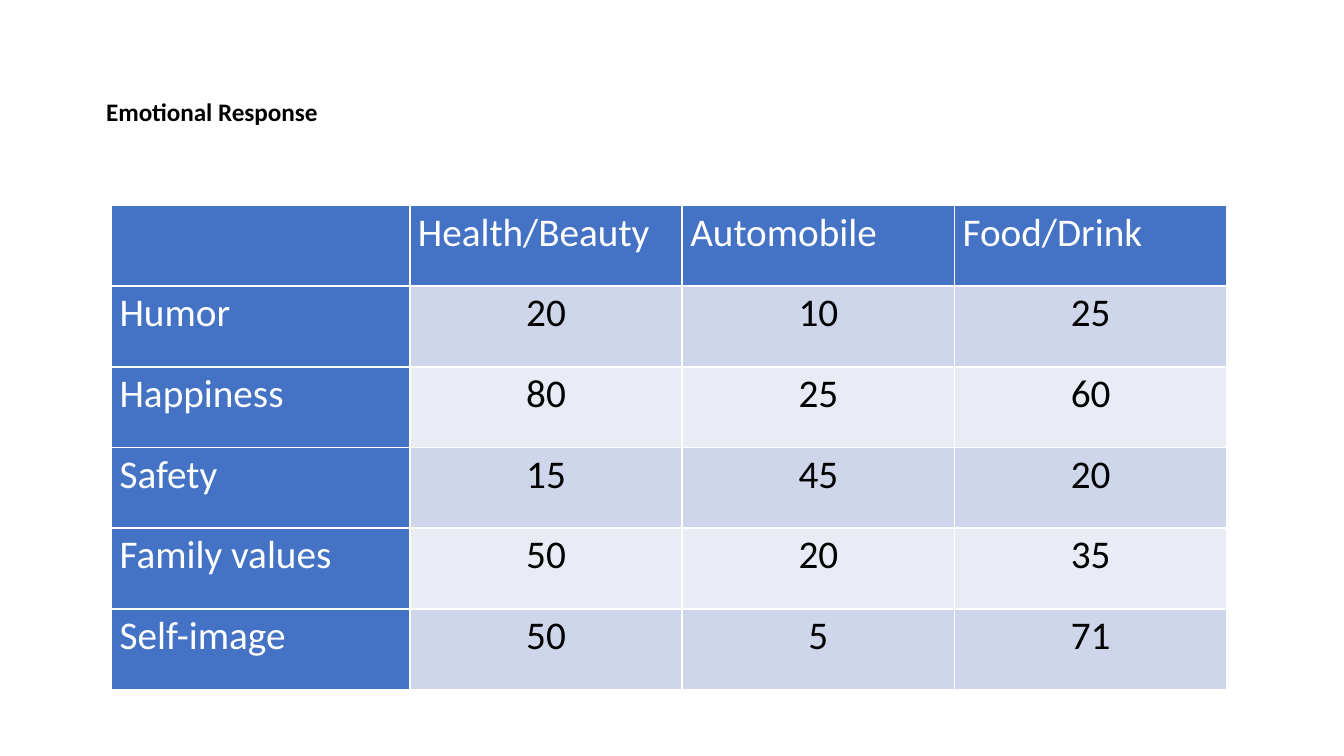
import lxml.etree
import pptx
import pptx.dml.color
import pptx.enum.text
import pptx.oxml.ns
import pptx.util

Inches = pptx.util.Inches
Pt = pptx.util.Pt
RGBColor = pptx.dml.color.RGBColor
PP_ALIGN = pptx.enum.text.PP_ALIGN

BLACK = RGBColor(0x00, 0x00, 0x00)
WHITE = RGBColor(0xFF, 0xFF, 0xFF)
BLUE = RGBColor(0x44, 0x72, 0xC4)
BANDS = [RGBColor(0xCF, 0xD5, 0xEA), RGBColor(0xE9, 0xEB, 0xF5)]

RESPONSES = [
    ["", "Health/Beauty", "Automobile", "Food/Drink"],
    ["Humor", "20", "10", "25"],
    ["Happiness", "80", "25", "60"],
    ["Safety", "15", "45", "20"],
    ["Family values", "50", "20", "35"],
    ["Self-image", "50", "5", "71"],
]
TABLE_WIDTH = 8.3
LABEL_WIDTH = 2.22
PRODUCT_WIDTH = (TABLE_WIDTH - LABEL_WIDTH) / 3
COLUMN_WIDTHS = [LABEL_WIDTH] + [PRODUCT_WIDTH] * 3
ROW_HEIGHT = 0.6


class SlideBuilder:
    font_name = "Calibri"

    def __init__(self, slide):
        self.slide = slide

    def style_text(self, paragraph, size, color, spacing, align=PP_ALIGN.LEFT, bold=False):
        paragraph.alignment = align
        paragraph.line_spacing = spacing
        for run in paragraph.runs:
            run.font.name = self.font_name
            run.font.size = Pt(size)
            run.font.bold = bold
            run.font.color.rgb = color

    def title(self, text, left, top, width, height):
        heading = self.slide.shapes.title
        heading.left, heading.top = Inches(left), Inches(top)
        heading.width, heading.height = Inches(width), Inches(height)
        heading.text_frame.text = text
        heading.text_frame.vertical_anchor = pptx.enum.text.MSO_ANCHOR.MIDDLE
        self.style_text(heading.text_frame.paragraphs[0], 13.5, BLACK, 0.9, bold=True)

    def borders(self, cell):
        """Draw white cell edges; they must come before the fill in the XML."""
        properties = cell._tc.get_or_add_tcPr()
        for position, edge in enumerate(["lnL", "lnR", "lnT", "lnB"]):
            line = lxml.etree.Element(pptx.oxml.ns.qn(f"a:{edge}"), w=str(Pt(1)))
            fill = lxml.etree.SubElement(line, pptx.oxml.ns.qn("a:solidFill"))
            lxml.etree.SubElement(fill, pptx.oxml.ns.qn("a:srgbClr"), val=str(WHITE))
            properties.insert(position, line)

    def cell(self, cell, text, row, column):
        is_heading = row == 0 or column == 0
        cell.fill.solid()
        cell.fill.fore_color.rgb = BLUE if is_heading else BANDS[(row - 1) % 2]
        self.borders(cell)
        cell.margin_left = cell.margin_right = Inches(0.06)
        cell.margin_top = cell.margin_bottom = 0
        cell.text_frame.text = text
        self.style_text(
            cell.text_frame.paragraphs[0],
            21,
            WHITE if is_heading else BLACK,
            1.07,
            PP_ALIGN.LEFT if is_heading else PP_ALIGN.CENTER,
        )

    def table(self, rows, left, top, column_widths, row_height):
        table = self.slide.shapes.add_table(
            len(rows), len(column_widths), Inches(left), Inches(top),
            Inches(sum(column_widths)), Inches(row_height * len(rows)),
        ).table
        table.first_col = True
        for column, width in zip(table.columns, column_widths):
            column.width = Inches(width)
        for r, texts in enumerate(rows):
            table.rows[r].height = Inches(row_height)
            for c, text in enumerate(texts):
                self.cell(table.cell(r, c), text, r, c)


def main():
    deck = pptx.Presentation()
    deck.slide_width = Inches(10)
    deck.slide_height = Inches(10 * 9 / 16)
    title_only = deck.slide_layouts[5]
    builder = SlideBuilder(deck.slides.add_slide(title_only))
    builder.title("Emotional Response", 0.69, 0.3, 8.62, 1.09)
    builder.table(RESPONSES, 0.83, 1.53, COLUMN_WIDTHS, ROW_HEIGHT)
    deck.save("out.pptx")


if __name__ == "__main__":
    main()
